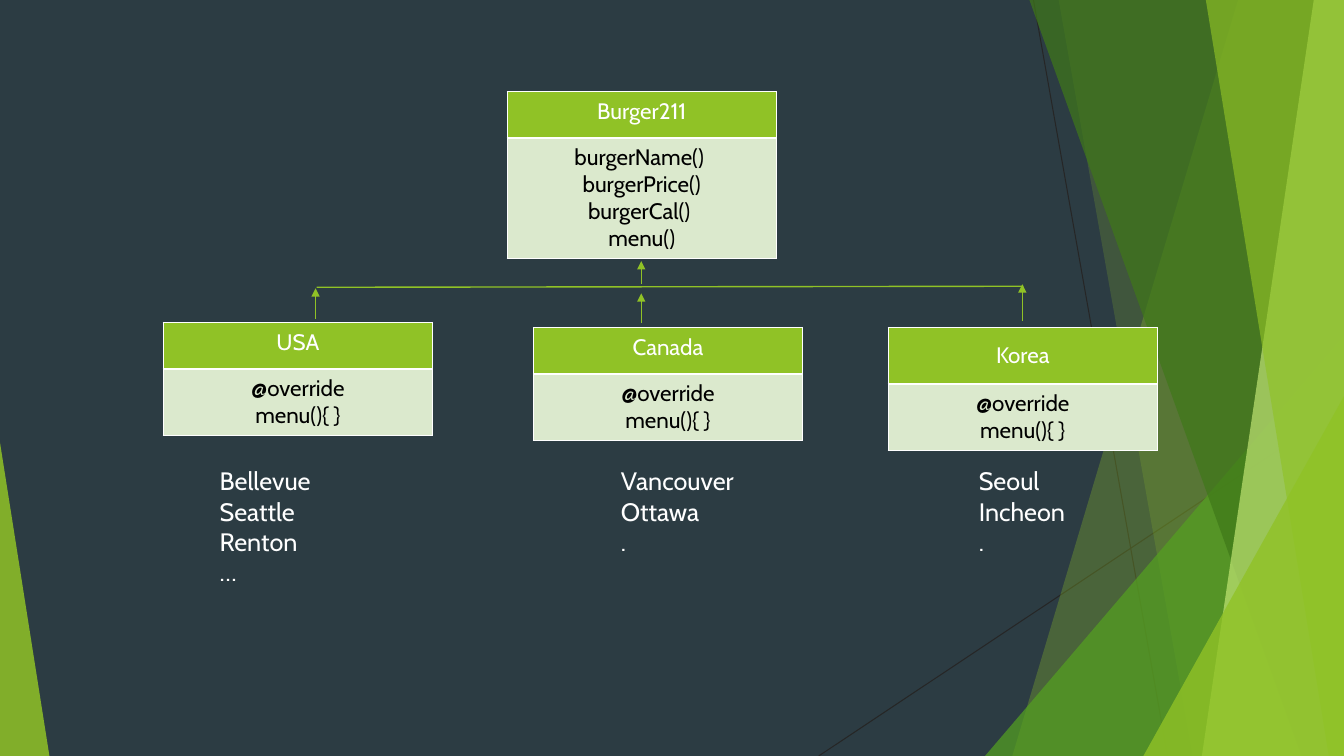
from itertools import pairwise

from lxml import etree
from pptx import Presentation, util as u
from pptx.dml.color import RGBColor
from pptx.enum import shapes, text
from pptx.oxml.ns import qn

# Content: left, top, row heights, header anchor, header, body paragraphs
TOP, MID = text.MSO_ANCHOR.TOP, text.MSO_ANCHOR.MIDDLE
OVER = ["@override\nmenu(){ }"]
BOXES = [
    (5.03, 0.91, (0.46, 1.18), TOP, "Burger211",
     ["burgerName() ", "burgerPrice()", "burgerCal() ", "menu()"]),
    (1.62, 3.2, (0.46, 0.65), TOP, "USA", OVER),
    (5.29, 3.25, (0.46, 0.65), TOP, "Canada", OVER),
    (8.81, 3.25, (0.56, 0.65), MID, "Korea", OVER),
]
CITIES = [
    (9.61, ["Seoul", "Incheon", "."]),
    (2.08, ["Bellevue\nSeattle", "Renton", "…"]),
    (6.06, ["Vancouver", "Ottawa", "."]),
]
BAR = (3.14, 2.85, 10.15, 2.84)
ARROWS = [(6.36, 2.59, 2.82), (6.36, 2.91, 3.2),
          (3.13, 2.86, 3.16), (10.14, 2.82, 3.18)]  # x, tip, foot


class Theme:
    font = "Cabin"
    cell, city = 16, 18
    back, ray = "2C3C43", "262626"
    lime, pale = "90C226", "DBE9CD"
    leaf, moss, mint = "54A021", "3F7819", "C0E474"
    white, black = "FFFFFF", "000000"


# Decor: outline corners, or triangle box with apex position
W, H = 13.33, 7.5
RAYS = [(10.25, 0, 11.58, H), (W, 4.03, 8.12, H)]
DECOR = [  # kind, geometry, colour, opacity in percent
    ("band", (12.28, 10.04), Theme.lime, 30),
    ("band", (10.5, 11.83), Theme.lime, 20),
    ("tri", (9.77, 3.33, 3.56, 1), Theme.leaf, 72),
    ("band", (10.21, 12.91), Theme.moss, 70),
    ("band", (13.03, 11.92), Theme.mint, 70),
    ("band", (11.96, 13.18), Theme.lime, 65),
    ("tri", (11.34, 3.93, 1.99, 1), Theme.lime, 80),
    ("tri", (0, 4.39, 0.49, 0), Theme.lime, 85),
]

deck = Presentation()
deck.slide_width, deck.slide_height = u.Inches(W), u.Inches(H)
slide = deck.slides.add_slide(deck.slide_layouts[6])
slide.background.fill.solid()
slide.background.fill.fore_color.rgb = RGBColor.from_string(Theme.back)


def paint(fill, tint):
    fill.solid()
    fill.fore_color.rgb = RGBColor.from_string(tint)


def write(frame, paras, size, tint, align):
    for i, para in enumerate(paras):
        p = frame.paragraphs[0] if i == 0 else frame.add_paragraph()
        p.alignment = align
        for j, line in enumerate(para.split("\n")):
            if j:
                p.add_line_break()
            run = p.add_run()
            run.text = line
            run.font.name, run.font.size = Theme.font, u.Pt(size)
            run.font.color.rgb = RGBColor.from_string(tint)


def link(ends, tint, width, tip=False):
    line = slide.shapes.add_connector(
        shapes.MSO_CONNECTOR.STRAIGHT, *map(u.Inches, ends))
    line.line.width = u.Pt(width)
    paint(line.line.fill, tint)
    props = line._element.spPr
    if tip:
        etree.SubElement(props.find(qn("a:ln")), qn("a:headEnd"),
                         type="triangle")
    etree.SubElement(props, qn("a:effectLst"))


def band(top, foot):
    """Slanted left edge, running to the right side of the slide."""
    pts = [tuple(map(u.Inches, pt))
           for pt in ((top, 0), (W, 0), (W, H), (foot, H))]
    path = slide.shapes.build_freeform(*pts[0])
    path.add_line_segments(pts[1:])
    return path.convert_to_shape()


def tri(left, top, width, apex):
    shape = slide.shapes.add_shape(
        shapes.MSO_SHAPE.ISOSCELES_TRIANGLE,
        *map(u.Inches, (left, top, width, H - top)))
    shape.adjustments[0] = apex
    return shape


def edge(cell):
    props = cell._tc.get_or_add_tcPr()
    for i, side in enumerate("LRTB"):
        line = etree.Element(qn("a:ln" + side), w=str(u.Pt(1)))
        fill = etree.SubElement(line, qn("a:solidFill"))
        etree.SubElement(fill, qn("a:srgbClr"), val=Theme.white)
        props.insert(i, line)


# Background rays and translucent facets
for ray in RAYS:
    link(ray, Theme.ray, 0.75)
for kind, geom, tint, pct in DECOR:
    facet = (band if kind == "band" else tri)(*geom)
    facet.shadow.inherit = False
    facet.line.fill.background()
    paint(facet.fill, tint)
    clr = facet._element.spPr.find(qn("a:solidFill"))[0]
    etree.SubElement(clr, qn("a:alpha"), val=str(pct * 1000))

# Class boxes
for left, top, rows, anchor, name, body in BOXES:
    table = slide.shapes.add_table(
        2, 1, *map(u.Inches, (left, top, 2.67, sum(rows)))).table
    table.first_row = table.horz_banding = False
    parts = [([name], Theme.lime, Theme.white, anchor),
             (body, Theme.pale, Theme.black, TOP)]
    for i, (paras, fill, ink, anc) in enumerate(parts):
        table.rows[i].height = u.Inches(rows[i])
        cell = table.cell(i, 0)
        cell.margin_left = cell.margin_right = u.Inches(0.11)
        cell.margin_top = cell.margin_bottom = u.Inches(0.06)
        cell.vertical_anchor = anc
        paint(cell.fill, fill)
        edge(cell)
        write(cell.text_frame, paras, Theme.cell, ink, text.PP_ALIGN.CENTER)

# Inheritance lines
link(BAR, Theme.lime, 1)
for x, tip, foot in ARROWS:
    link((x, tip, x, foot), Theme.lime, 1, tip=True)

# City lists
for left, names in CITIES:
    frame = slide.shapes.add_textbox(
        *map(u.Inches, (left, 4.57, 1.4, 1.31))).text_frame
    frame.word_wrap = True
    frame.auto_size = text.MSO_AUTO_SIZE.SHAPE_TO_FIT_TEXT
    write(frame, names, Theme.city, Theme.white, text.PP_ALIGN.LEFT)

deck.save("out.pptx")
